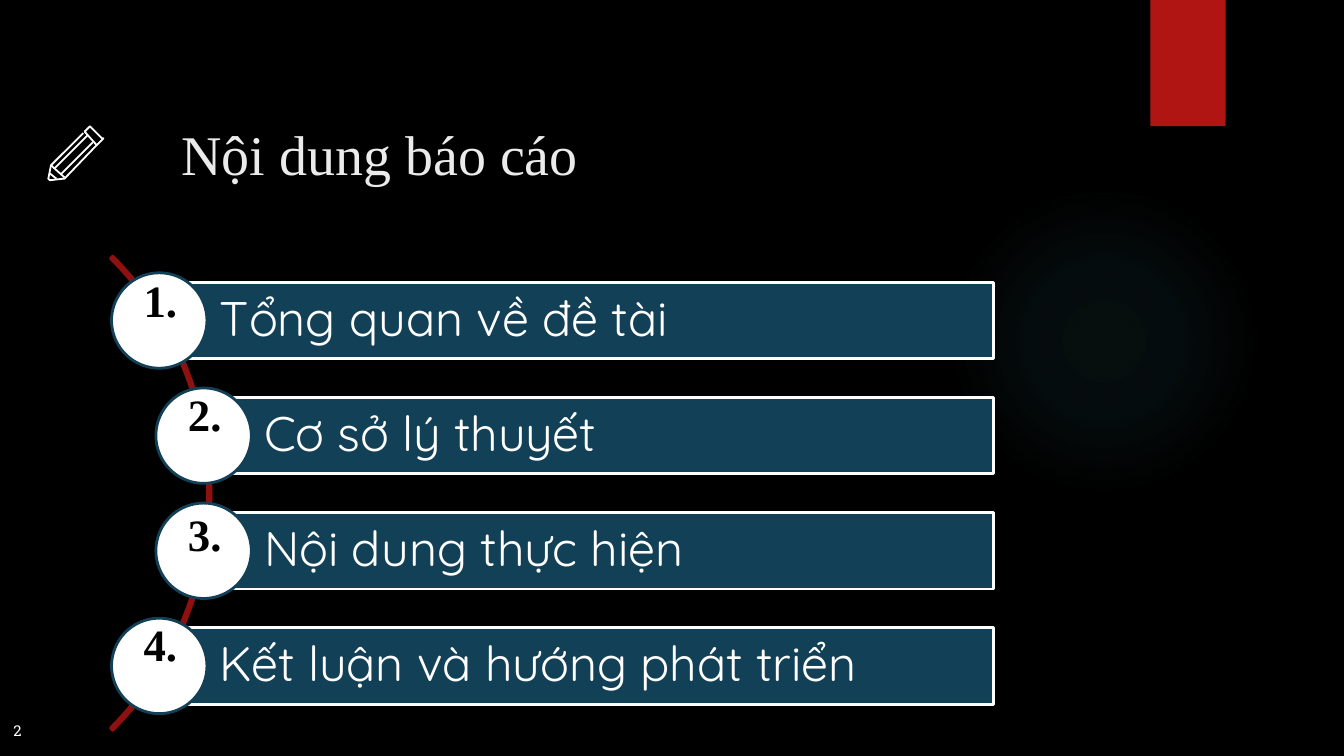
from lxml import etree
from pptx import Presentation
from pptx.dml.color import RGBColor
from pptx.enum.shapes import MSO_SHAPE as Shape
from pptx.enum.text import MSO_ANCHOR as Anchor, MSO_AUTO_SIZE as AutoSize, PP_ALIGN as Align
from pptx.oxml import parse_xml
from pptx.oxml.ns import nsdecls, qn
from pptx.util import Inches, Pt

PENCIL_STROKES = [
    ([(40, 9), (32, 1), (31, 0), (30, 1), (27, 4), (36, 14), (40, 10), (41, 9)], True),
    ([(33, 12), (9, 36)], False),
    ([(26, 5), (2, 29), (0, 39), (1, 40), (2, 40), (11, 39), (12, 39), (36, 14)], False),
    ([(5, 31), (29, 7)], False),
    ([(6, 39), (1, 35)], False),
    ([(2, 29), (12, 38)], False),
]
AGENDA = [
    ("Tổng quan về đề tài", 0, -0.1),
    ("Cơ sở lý thuyết", 0.33, -0.11),
    ("Nội dung thực hiện", 0.33, -0.07),
    ("Kết luận và hướng phát triển", 0, -0.11),
]


def color(value):
    return RGBColor.from_string(value)


def paint(shape, fill=None, line=None, width=1.5):
    shape.shadow.inherit = False
    if fill:
        shape.fill.solid()
        shape.fill.fore_color.rgb = color(fill)
    else:
        shape.fill.background()
    if line:
        shape.line.color.rgb = color(line)
        shape.line.width = Pt(width)
    else:
        shape.line.fill.background()


def add_shape(slide, kind, box, **style):
    shape = slide.shapes.add_shape(kind, *map(Inches, box))
    paint(shape, **style)
    return shape


def write(shape, text, font, size, ink, bold=False, insets=(0.1,) * 4,
          anchor=Anchor.TOP, wrap=True, **paragraph_format):
    frame = shape.text_frame
    left, top, right, bottom = map(Inches, insets)
    frame_format = {
        "auto_size": AutoSize.NONE, "word_wrap": wrap, "vertical_anchor": anchor,
        "margin_left": left, "margin_top": top,
        "margin_right": right, "margin_bottom": bottom,
    }
    paragraph = frame.paragraphs[0]
    run = paragraph.add_run()
    run.text = text
    run.font.color.rgb = color(ink)
    formats = [
        (frame, frame_format),
        (paragraph, {"alignment": Align.LEFT, **paragraph_format}),
        (run.font, {"name": font, "size": Pt(size), "bold": bold}),
    ]
    for target, values in formats:
        for name, value in values.items():
            setattr(target, name, value)


def add_text(slide, box, text, **style):
    write(slide.shapes.add_textbox(*map(Inches, box)), text, **style)


def add_glow(slide, box):
    glow = add_shape(slide, Shape.OVAL, box)
    properties = glow.fill._xPr
    properties.remove(properties.find(qn("a:noFill")))
    gradient = parse_xml(f'<a:gradFill {nsdecls("a")} rotWithShape="1"><a:gsLst/></a:gradFill>')
    for position, alpha in [(0, 7), (36, 6), (69, 0)]:
        stop = etree.SubElement(gradient[0], qn("a:gs"), pos=str(position * 1000))
        tint = etree.SubElement(stop, qn("a:srgbClr"), val="50B9C1")
        etree.SubElement(tint, qn("a:alpha"), val=str(alpha * 1000))
    path = etree.SubElement(gradient, qn("a:path"), path="circle")
    etree.SubElement(path, qn("a:fillToRect"), {side: "50000" for side in "ltrb"})
    properties.find(qn("a:prstGeom")).addnext(gradient)


def add_title(slide, box, text):
    title = slide.shapes.title
    title.left, title.top, title.width, title.height = map(Inches, box)
    write(title, text, "Times New Roman", 30, "EBEBEB", anchor=Anchor.MIDDLE)


def add_pencil(slide, left, top):
    group = slide.shapes.add_group_shape()
    for points, closed in PENCIL_STROKES:
        builder = group.shapes.build_freeform(*points[0], scale=Inches(0.01))
        builder.add_line_segments(points[1:], close=closed)
        stroke = builder.convert_to_shape(Inches(left), Inches(top))
        paint(stroke, line="FFFFFF", width=0.96)


def add_agenda(slide, box):
    left, top, width, height = box
    circle, bar_height, arc_size = 0.71, 0.57, 4.99
    pitch = (height - circle) / (len(AGENDA) - 1)

    arc = add_shape(slide, Shape.BLOCK_ARC,
                    (left - 4.25, top + (height - arc_size) / 2, arc_size, arc_size),
                    fill="8D110F", line="8D110F")
    for index, value in enumerate((189, 27, 0.005)):
        arc.adjustments[index] = value

    for index, (text, indent, nudge) in enumerate(AGENDA):
        x, y = left + indent, top + index * pitch
        bar_left = x + circle / 2
        bar = add_shape(slide, Shape.RECTANGLE,
                        (bar_left, y + (circle - bar_height) / 2,
                         left + width - bar_left, bar_height),
                        fill="124057", line="FFFFFF")
        write(bar, text, "Quicksand", 26, "FFFFFF", insets=(0.45, 0.07, 0.07, 0.07),
              anchor=Anchor.MIDDLE, line_spacing=0.9)
        add_shape(slide, Shape.OVAL, (x, y, circle, circle), fill="FFFFFF", line="124057")
        add_text(slide, (x + 0.14, y + nudge, 0.46, 0.5), f"{index + 1}.",
                 font="Times New Roman", size=24, ink="000000", bold=True,
                 wrap=False, space_before=Pt(10))


def main():
    presentation = Presentation()
    presentation.slide_width = Inches(10)
    presentation.slide_height = presentation.slide_width * 9 // 16
    slide = presentation.slides.add_slide(presentation.slide_layouts[5])
    slide.background.fill.solid()
    slide.background.fill.fore_color.rgb = color("000000")

    add_glow(slide, (7.06, 1.38, 2.31, 2.31))
    add_shape(slide, Shape.RECTANGLE, (8.56, 0, 0.56, 0.94), fill="B01513")
    add_title(slide, (1.25, 0.58, 3.51, 1.12), "Nội dung báo cáo")
    add_text(slide, (-0.06, 5.27, 0.38, 0.35), "2", font="Roboto Slab", size=8,
             ink="FFFFFF", alignment=Align.CENTER)
    add_pencil(slide, 0.36, 0.94)
    add_agenda(slide, (0.83, 2.03, 6.56, 3.28))
    presentation.save("out.pptx")


if __name__ == "__main__":
    main()
